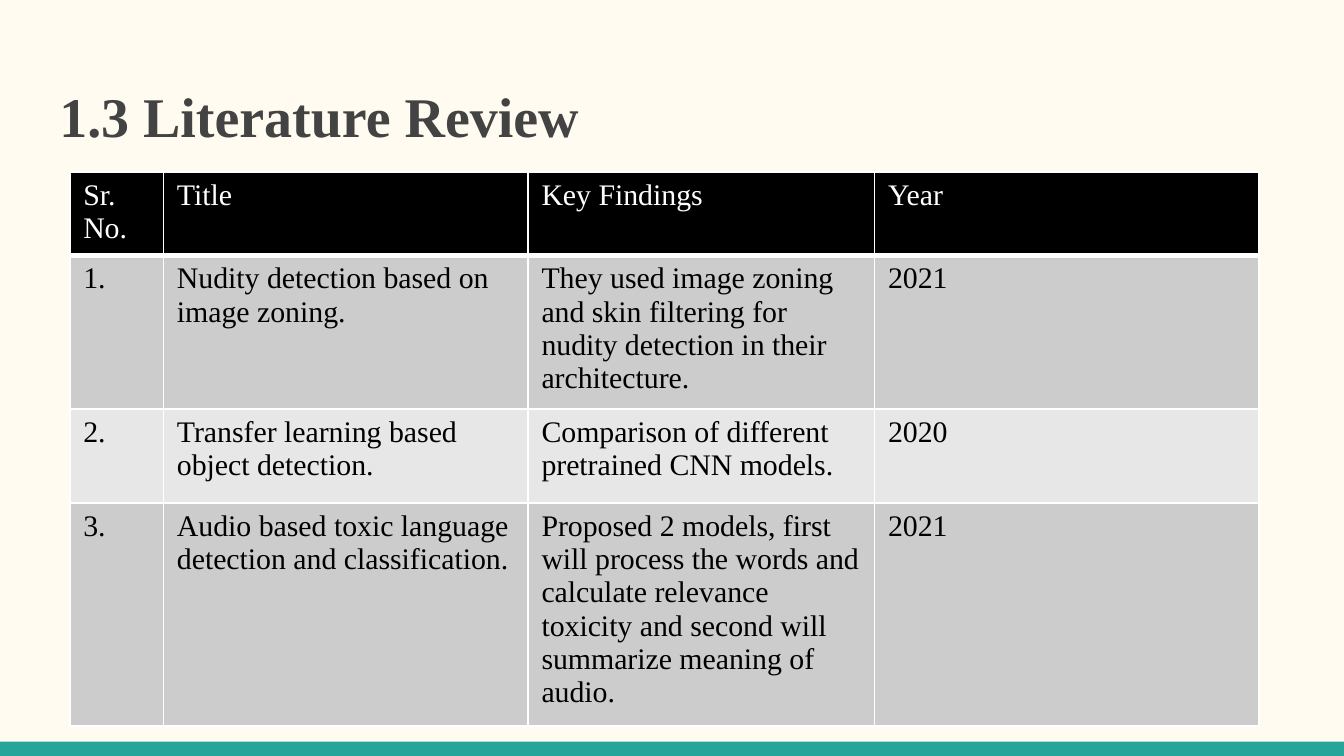
from dataclasses import dataclass

from lxml.etree import SubElement
from pptx import Presentation
from pptx.dml.color import RGBColor
from pptx.enum.shapes import MSO_SHAPE
from pptx.enum.text import MSO_ANCHOR, PP_ALIGN
from pptx.oxml.ns import qn
from pptx.util import Cm, Pt

HEADING = "1.3 Literature Review"
HEADER = ("Sr.\nNo.", "Title", "Key Findings", "Year")
PAPERS = [
    ("1.", "Nudity detection based on image zoning.",
     "They used image zoning and skin filtering for nudity detection in their architecture.",
     "2021"),
    ("2.", "Transfer learning based object detection.",
     "Comparison of different pretrained CNN models.",
     "2020"),
    ("3.", "Audio based toxic language detection and classification.",
     "Proposed 2 models, first will process the words and calculate relevance toxicity "
     "and second will summarize meaning of audio.",
     "2021"),
]

SLIDE_WIDTH, SLIDE_HEIGHT = Cm(25.4), Cm(14.29)
FOOTER_HEIGHT = Cm(0.27)
COLUMN_WIDTHS = [Cm(1.77), Cm(6.89), Cm(6.55), Cm(7.26)]
ROW_HEIGHTS = [Cm(1.58), Cm(2.9), Cm(1.78), Cm(4.21)]


@dataclass(frozen=True)
class Theme:
    font: str = "Times New Roman"
    heading_size: int = 30
    table_size: int = 16
    background: str = "FFFBF0"
    accent: str = "26A69A"
    heading: str = "434343"
    header_fill: str = "000000"
    header_text: str = "FFFFFF"
    body_text: str = "000000"
    bands: tuple = ("CCCCCC", "E7E7E7")
    border: str = "FFFFFF"
    border_width: float = 1
    header_rule_width: float = 3


THEME = Theme()


def paint(fill, color):
    fill.solid()
    fill.fore_color.rgb = RGBColor.from_string(color)


def style_text(frame, size, color, bold=False):
    for paragraph in frame.paragraphs:
        paragraph.alignment = PP_ALIGN.LEFT
        for run in paragraph.runs:
            run.font.name = THEME.font
            run.font.size = Pt(size)
            run.font.bold = bold
            run.font.color.rgb = RGBColor.from_string(color)


def add_borders(cell, top_width, bottom_width):
    """Add the cell's borders; call before filling, as lines precede the fill."""
    properties = cell._tc.get_or_add_tcPr()
    side = THEME.border_width
    widths = {"lnL": side, "lnR": side, "lnT": top_width, "lnB": bottom_width}
    for tag, width in widths.items():
        line = SubElement(properties, qn(f"a:{tag}"), w=str(Pt(width)))
        solid = SubElement(line, qn("a:solidFill"))
        SubElement(solid, qn("a:srgbClr"), val=THEME.border)


def add_heading(slide):
    title = slide.shapes.title
    title.left, title.top, title.width, title.height = Cm(0.87), Cm(1.24), Cm(23.67), Cm(1.7)
    frame = title.text_frame
    frame.text = HEADING
    frame.vertical_anchor = MSO_ANCHOR.MIDDLE
    frame.margin_left = frame.margin_right = Cm(0.25)
    frame.margin_top = frame.margin_bottom = Cm(0.25)
    frame.paragraphs[0].line_spacing = 1.15
    style_text(frame, THEME.heading_size, THEME.heading, bold=True)


def add_footer_bar(slide):
    bar = slide.shapes.add_shape(MSO_SHAPE.RECTANGLE, 0, SLIDE_HEIGHT - FOOTER_HEIGHT,
                                 SLIDE_WIDTH, FOOTER_HEIGHT)
    bar.shadow.inherit = False
    paint(bar.fill, THEME.accent)
    bar.line.fill.background()


def add_review_table(slide):
    rows = [HEADER, *PAPERS]
    review = slide.shapes.add_table(len(rows), len(HEADER), Cm(1.32), Cm(3.25),
                                    sum(COLUMN_WIDTHS), sum(ROW_HEIGHTS)).table
    for column, width in zip(review.columns, COLUMN_WIDTHS):
        column.width = width
    for row, height in zip(review.rows, ROW_HEIGHTS):
        row.height = height

    for r, entries in enumerate(rows):
        is_header = r == 0
        fill = THEME.header_fill if is_header else THEME.bands[(r - 1) % 2]
        color = THEME.header_text if is_header else THEME.body_text
        top = THEME.header_rule_width if r == 1 else THEME.border_width
        bottom = THEME.header_rule_width if is_header else THEME.border_width
        for c, entry in enumerate(entries):
            cell = review.cell(r, c)
            cell.text_frame.text = entry
            style_text(cell.text_frame, THEME.table_size, color)
            add_borders(cell, top, bottom)
            paint(cell.fill, fill)


def main():
    deck = Presentation()
    deck.slide_width, deck.slide_height = SLIDE_WIDTH, SLIDE_HEIGHT
    slide = deck.slides.add_slide(deck.slide_layouts.get_by_name("Title Only"))
    paint(slide.background.fill, THEME.background)
    add_footer_bar(slide)
    add_heading(slide)
    add_review_table(slide)
    deck.save("out.pptx")


if __name__ == "__main__":
    main()
